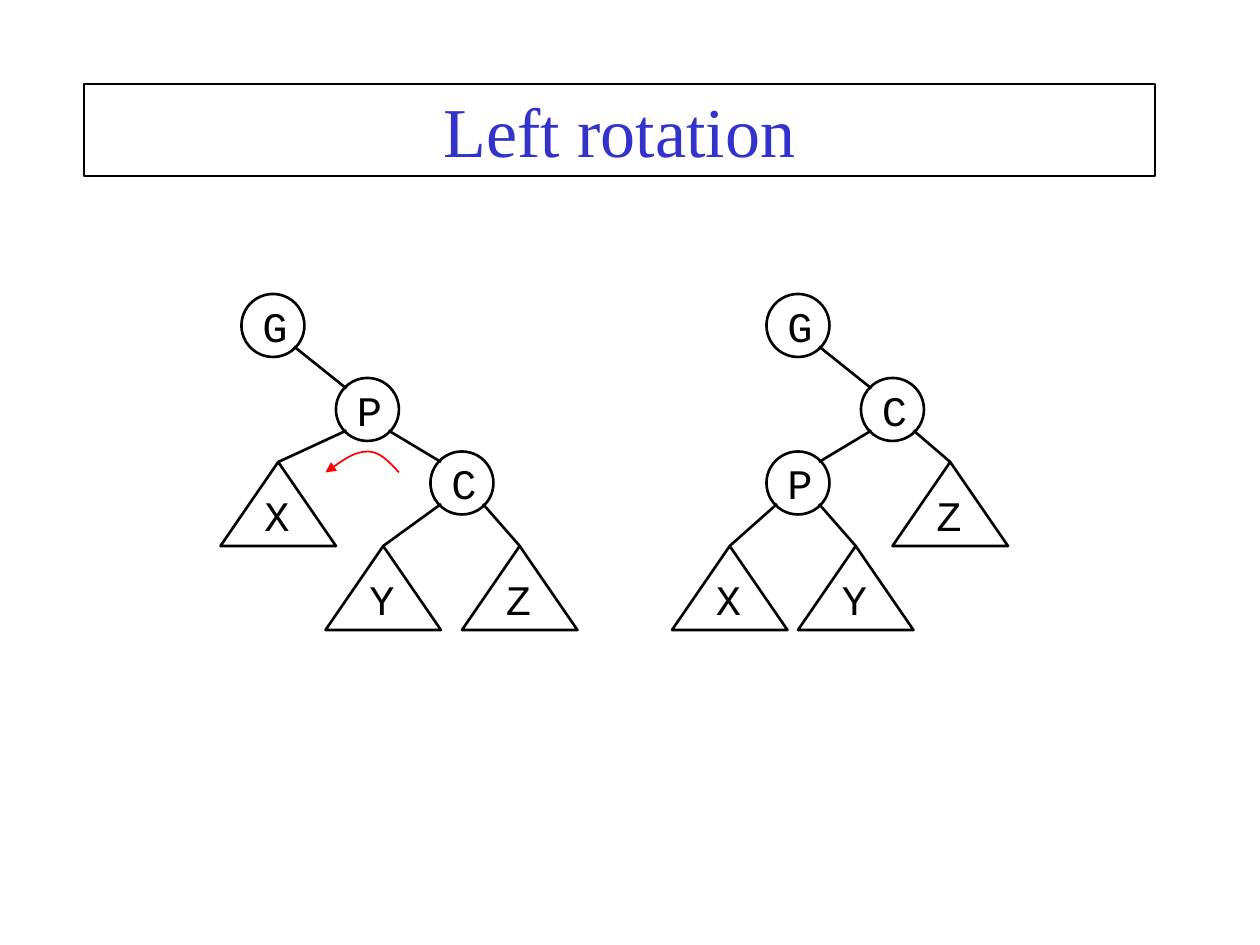
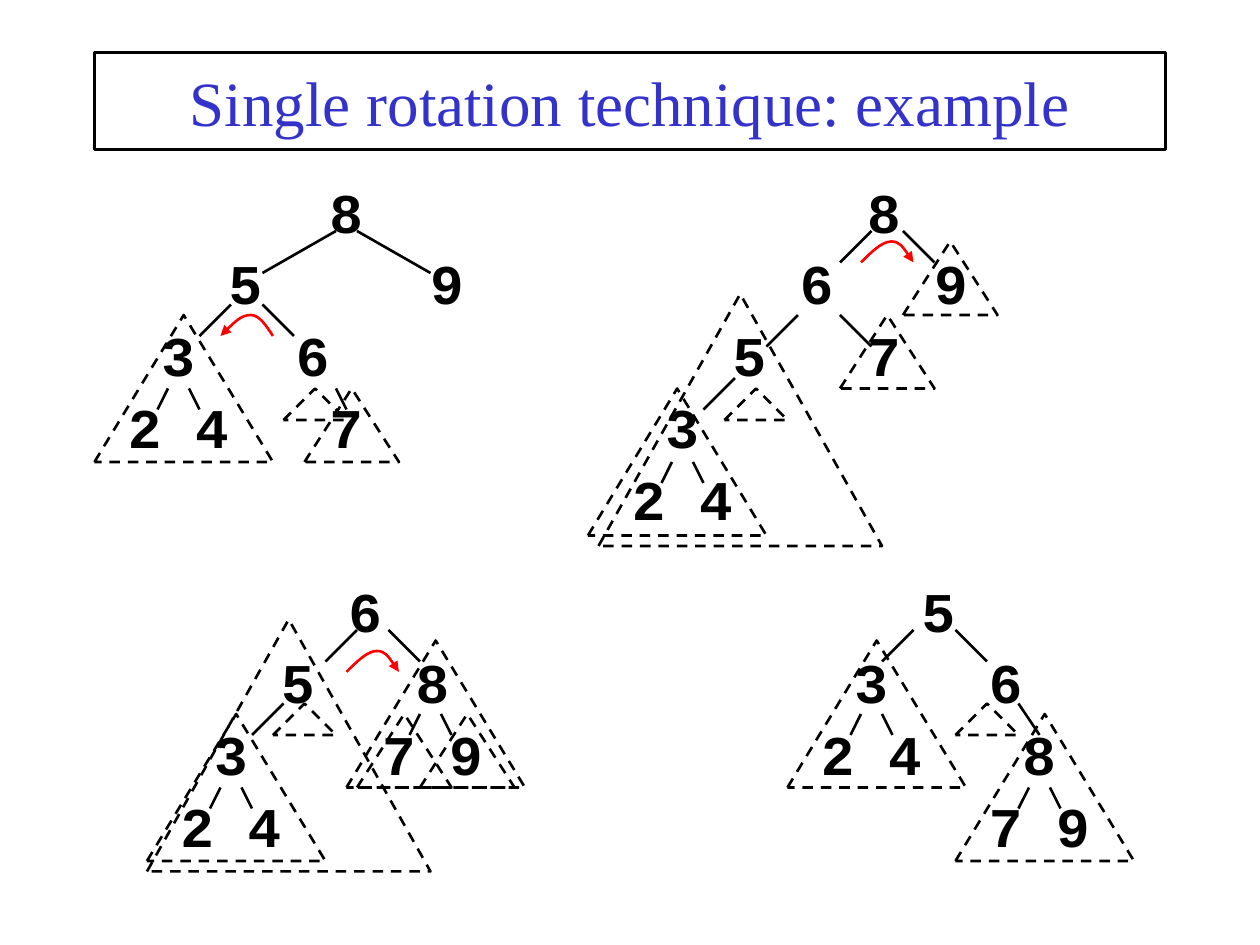
from lxml import etree
from pptx import Presentation
from pptx.dml.color import RGBColor
from pptx.enum import dml, shapes, text
from pptx.oxml import ns
from pptx.util import Pt

# Shared look
INK = RGBColor(0x00, 0x00, 0x00)
TITLE_BLUE = RGBColor(0x33, 0x33, 0xCC)
ARROW_RED = RGBColor(0xFF, 0x00, 0x00)
TITLE_FONT, TREE_FONT = "Times New Roman", "Courier New"
THIN, THICK = 1, 1.5
CENTER = text.PP_ALIGN.CENTER

# Slide 1: corners of the nodes, then parent-child pairs
ROTATION_TITLE = {"words": "Left rotation", "box": (48, 48, 612, 52.5), "size": 40, "border": THIN}
ROTATION_TREES = [
    ({"G": (138, 168), "P": (192, 216), "C": (246, 258),
      "X": (126, 264), "Y": (186, 312), "Z": (264, 312)}, ["GP", "PX", "PC", "CY", "CZ"]),
    ({"G": (438, 168), "C": (492, 216), "P": (438, 258),
      "X": (384, 312), "Y": (456, 312), "Z": (510, 264)}, ["GC", "CP", "CZ", "PX", "PY"]),
]
ROTATION_ARROW = (186, 258, 42, "left", THIN)
SUBTREES = "XYZ"
CIRCLE, PORT = 36, 6
SUBTREE_WIDTH, SUBTREE_HEIGHT = 66, 48

# Slide 2: rows map a character column to its key
EXAMPLE_TITLE = {"words": "Single rotation technique: example", "box": (54, 30, 612, 55.5),
                 "size": 36, "border": THICK}
OUTLINES = {"big": (162, 144), "tall": (102, 84), "leaf": (54, 42), "empty": (36, 18)}
EXAMPLE_TREES = [
    {"box": (66, 102, 210, 174),
     "rows": [{6: "8"}, {3: "5", 9: "9"}, {1: "3", 5: "6"}, {0: "2", 2: "4", 6: "7"}],
     "branches": [(192, 132, 150, 156), (204, 132, 246, 156), (132, 174, 114, 192),
                  (150, 174, 168, 192), (96, 222, 90, 234), (108, 222, 114, 234),
                  (192, 222, 198, 234)],
     "arrow": (126, 180, 30, "left", THICK),
     "outlines": [("tall", 54, 180), ("leaf", 174, 222), ("empty", 162, 222)]},
    {"box": (354, 102, 216, 204),
     "rows": [{7: "8"}, {5: "6", 9: "9"}, {3: "5", 7: "7"}, {1: "3"}, {0: "2", 2: "4"}],
     "branches": [(420, 216, 402, 234), (384, 264, 378, 276), (396, 264, 402, 276),
                  (456, 180, 438, 198), (498, 132, 480, 150), (480, 180, 498, 198),
                  (516, 132, 534, 150)],
     "arrow": (492, 138, 30, "right", THICK),
     "outlines": [("big", 342, 168), ("empty", 414, 222), ("tall", 336, 222),
                  ("leaf", 480, 180), ("leaf", 516, 138)]},
    {"box": (96, 330, 204, 168),
     "rows": [{5: "6"}, {3: "5", 7: "8"}, {1: "3", 6: "7", 8: "9"}, {0: "2", 2: "4"}],
     "branches": [(162, 402, 144, 420), (126, 450, 120, 462), (138, 450, 144, 462),
                  (204, 360, 186, 378), (222, 360, 240, 378), (240, 408, 234, 420),
                  (252, 408, 258, 420)],
     "arrow": (198, 372, 30, "right", THICK),
     "outlines": [("tall", 84, 408), ("empty", 156, 402), ("tall", 198, 366),
                  ("big", 84, 354), ("leaf", 204, 408), ("leaf", 240, 408)]},
    {"box": (462, 330, 174, 174),
     "rows": [{3: "5"}, {1: "3", 5: "6"}, {0: "2", 2: "4", 6: "8"}, {5: "7", 7: "9"}],
     "branches": [(492, 408, 486, 420), (504, 408, 510, 420), (588, 450, 582, 462),
                  (600, 450, 606, 462), (522, 360, 504, 378), (546, 360, 564, 378),
                  (582, 402, 594, 420)],
     "arrow": None,
     "outlines": [("empty", 546, 402), ("tall", 546, 408), ("tall", 450, 366)]},
]
KEY_SIZE, COLUMN = 32, 19.2

# Rotation arrow: control points as shares of its width and height
ARROW_HEIGHT = 12
ARROW_CURVE = [(0, 1), (0.2, 0.5), (0.4, 0), (0.58, 0), (0.74, 0), (0.87, 0.5), (1, 1)]


def points(values):
    return [Pt(value) for value in values]


def format_font(font, **values):
    color = values.pop("color", INK)
    for name, value in values.items():
        setattr(font, name, value)
    font.color.rgb = color


def stroke(line, width, color=INK):
    line.color.rgb = color
    line.width = Pt(width)


def add_words(slide, box, words, align=None, **font):
    label = slide.shapes.add_textbox(*points(box))
    label.text_frame.word_wrap = True
    paragraph = label.text_frame.paragraphs[0]
    paragraph.alignment = align
    run = paragraph.add_run()
    run.text = words
    format_font(run.font, **font)
    return label


def add_title(slide, title):
    heading = add_words(slide, title["box"], title["words"], CENTER,
                        name=TITLE_FONT, size=Pt(title["size"]), color=TITLE_BLUE)
    heading.text_frame.vertical_anchor = text.MSO_ANCHOR.MIDDLE
    stroke(heading.line, title["border"])


def add_outline(slide, kind, box, dashed=False):
    outline = slide.shapes.add_shape(kind, *points(box))
    outline.shadow.inherit = False
    outline.fill.background()
    stroke(outline.line, THICK)
    if dashed:
        outline.line.dash_style = dml.MSO_LINE.DASH


def add_branch(slide, ends):
    branch = slide.shapes.add_connector(shapes.MSO_CONNECTOR.STRAIGHT, *points(ends))
    stroke(branch.line, THICK)
    etree.SubElement(branch.element.spPr, ns.qn("a:effectLst"))


def add_rotation_arrow(slide, left, top, width, head, weight):
    start, *rest = [(Pt(left + x * width), Pt(top + y * ARROW_HEIGHT)) for x, y in ARROW_CURVE]
    builder = slide.shapes.build_freeform(*start)
    builder.add_line_segments(rest, close=False)
    arrow = builder.convert_to_shape()
    arrow.shadow.inherit = False
    arrow.fill.background()
    stroke(arrow.line, weight, ARROW_RED)
    # Turn each three segments into one Bézier curve
    segments = list(arrow.element.iter(ns.qn("a:lnTo")))
    for first in range(0, len(segments), 3):
        curve = etree.SubElement(segments[first].getparent(), ns.qn("a:cubicBezTo"))
        for segment in segments[first:first + 3]:
            curve.append(segment[0])
            segment.getparent().remove(segment)
    end = "a:headEnd" if head == "left" else "a:tailEnd"
    etree.SubElement(arrow.line._get_or_add_ln(), ns.qn(end), type="triangle")


def add_node(slide, name, left, top):
    font = {"name": TREE_FONT, "size": Pt(24)}
    if name in SUBTREES:
        add_outline(slide, shapes.MSO_SHAPE.ISOSCELES_TRIANGLE,
                    (left, top, SUBTREE_WIDTH, SUBTREE_HEIGHT))
        add_words(slide, (left + 18, top + 12, 36, 36), name, **font)
    else:
        add_outline(slide, shapes.MSO_SHAPE.OVAL, (left, top, CIRCLE, CIRCLE))
        add_words(slide, (left + 1.2, top, 36, 36), name, CENTER, **font)


def edge_ends(nodes, parent, child):
    (parent_x, parent_y), (child_x, child_y) = nodes[parent], nodes[child]
    near, far = PORT, CIRCLE - PORT
    goes_left = child_x < parent_x
    start = (parent_x + (near if goes_left else far), parent_y + far)
    if child in SUBTREES:
        return *start, child_x + SUBTREE_WIDTH / 2, child_y
    return *start, child_x + (far if goes_left else near), child_y + near


def add_keys(slide, box, rows):
    frame = slide.shapes.add_textbox(*points(box)).text_frame
    frame.word_wrap = True
    for index, row in enumerate(rows):
        paragraph = frame.add_paragraph() if index else frame.paragraphs[0]
        stops = etree.SubElement(paragraph._p.get_or_add_pPr(), ns.qn("a:tabLst"))
        for column in filter(None, row):
            etree.SubElement(stops, ns.qn("a:tab"), pos=str(Pt(column * COLUMN)), algn="l")
        paragraph.line_spacing = 0.9
        paragraph.space_before = Pt(6.4 if index else 0)
        run = paragraph.add_run()
        run.text = "".join(("\t" if column else "") + key for column, key in row.items())
        format_font(run.font, name=TREE_FONT, size=Pt(KEY_SIZE), bold=True)


def build_rotation(slide):
    add_title(slide, ROTATION_TITLE)
    for nodes, edges in ROTATION_TREES:
        for name, corner in nodes.items():
            add_node(slide, name, *corner)
        for parent, child in edges:
            add_branch(slide, edge_ends(nodes, parent, child))
    add_rotation_arrow(slide, *ROTATION_ARROW)


def build_example(slide):
    add_title(slide, EXAMPLE_TITLE)
    for tree in EXAMPLE_TREES:
        add_keys(slide, tree["box"], tree["rows"])
        for branch in tree["branches"]:
            add_branch(slide, branch)
        if tree["arrow"]:
            add_rotation_arrow(slide, *tree["arrow"])
        for size, left, top in tree["outlines"]:
            add_outline(slide, shapes.MSO_SHAPE.ISOSCELES_TRIANGLE,
                        (left, top, *OUTLINES[size]), dashed=True)


def main():
    deck = Presentation()
    deck.slide_width, deck.slide_height = Pt(720), Pt(540)
    for build in (build_rotation, build_example):
        build(deck.slides.add_slide(deck.slide_layouts[6]))
    deck.save("out.pptx")


if __name__ == "__main__":
    main()
